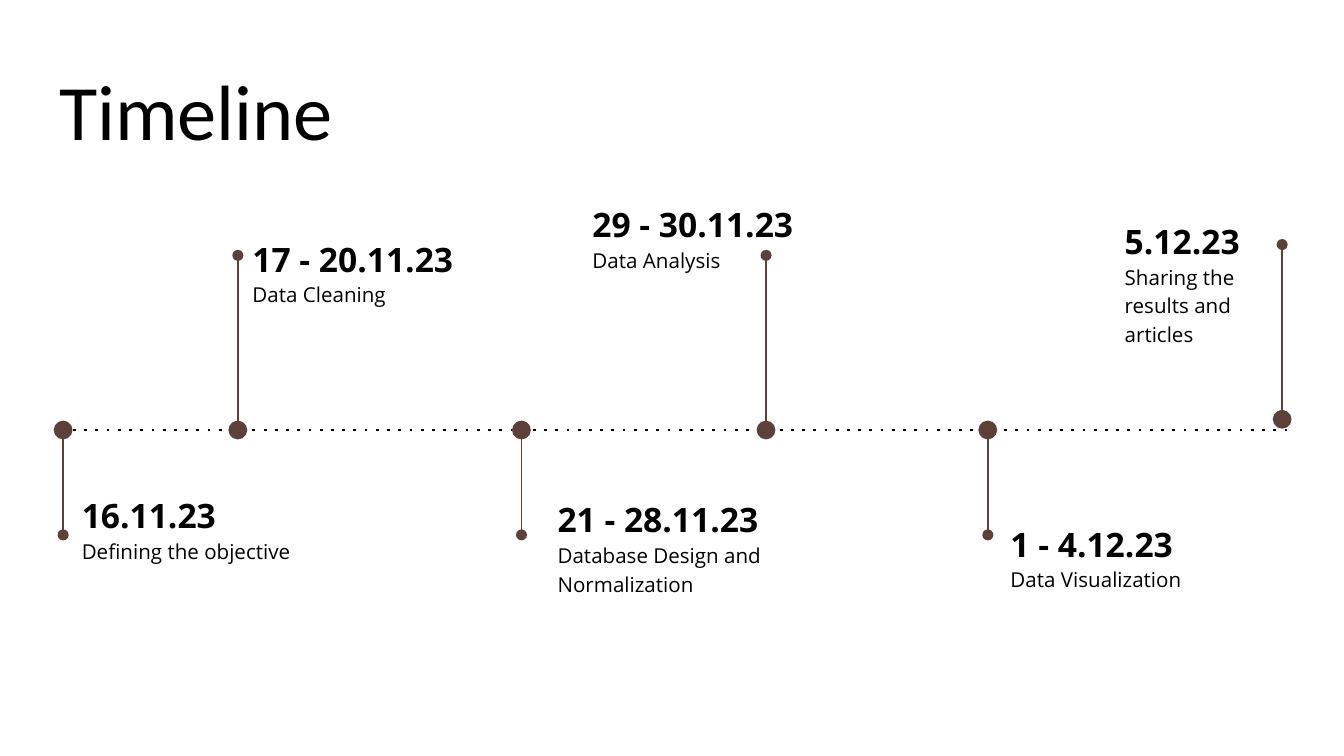
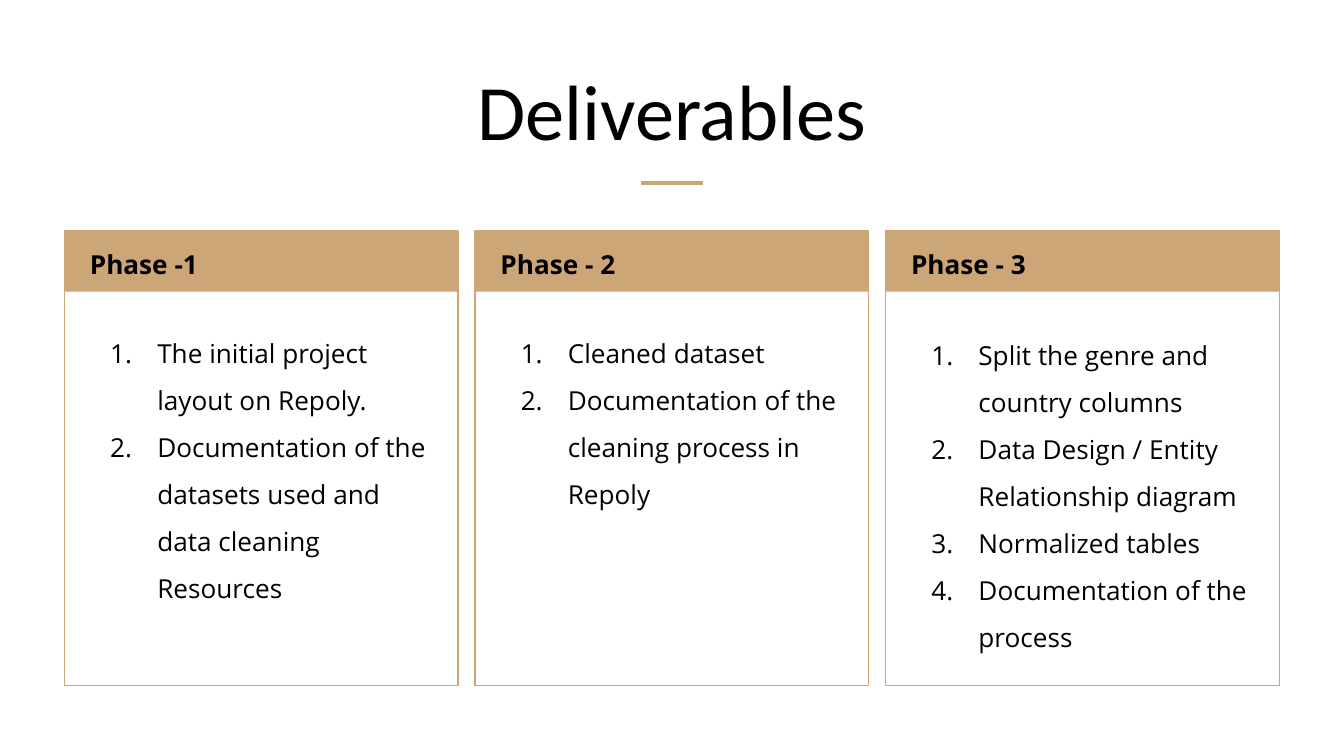
from lxml.etree import SubElement
from pptx import Presentation
from pptx.dml.color import RGBColor
from pptx.enum.shapes import MSO_CONNECTOR, MSO_SHAPE
from pptx.enum.text import MSO_ANCHOR, MSO_AUTO_SIZE, PP_ALIGN
from pptx.oxml.ns import qn
from pptx.util import Inches, Pt

COLORS = {"ink": "000000", "milestone": "5D4037", "accent": "CCA677"}
HEADING_FONT = "Calibri"
BODY_FONT = "Open Sans"

AXIS_Y = 3.2
DOT_RADIUS = 0.07
STEM_UP, STEM_DOWN = -1.3, 0.78

MILESTONES = [
    (0.47, AXIS_Y, STEM_DOWN, (0.51, 3.54, 2.38, 1.32), "16.11.23", "Defining the objective"),
    (1.77, AXIS_Y, STEM_UP, (1.78, 1.63, 2.38, 1.2), "17 - 20.11.23", "Data Cleaning"),
    (3.88, AXIS_Y, STEM_DOWN, (4.05, 3.57, 2.38, 1.32), "21 - 28.11.23",
     "Database Design and Normalization"),
    (5.7, AXIS_Y, STEM_UP, (4.31, 1.37, 2.38, 1.2), "29 - 30.11.23", "Data Analysis"),
    (7.35, AXIS_Y, STEM_DOWN, (7.42, 3.75, 2.38, 1.32), "1 - 4.12.23", "Data Visualization"),
    (9.54, 3.12, STEM_UP, (8.27, 1.5, 1.39, 1.2), "5.12.23",
     "Sharing the results and articles"),
]

CARD_LEFT, CARD_TOP, CARD_WIDTH, CARD_HEIGHT = 0.48, 1.72, 2.93, 3.38
LAST_CARD_LEFT = 6.59
BAND_HEIGHT = 0.45
CARD_PADDING = 0.09

PHASES = [
    ("Phase -1", 2.29, ["The initial project layout on Repoly.",
                        "Documentation of the datasets used and data cleaning Resources"]),
    ("Phase - 2", 2.29, ["Cleaned dataset",
                         "Documentation of the cleaning process in Repoly"]),
    ("Phase - 3", 2.31, ["Split the genre and country columns",
                         "Data Design / Entity Relationship diagram",
                         "Normalized tables",
                         "Documentation of the process"]),
]


def color(name):
    return RGBColor.from_string(COLORS[name])


def place(shape, left, top, width, height):
    shape.left, shape.top = Inches(left), Inches(top)
    shape.width, shape.height = Inches(width), Inches(height)


def prepare_frame(frame, anchor=MSO_ANCHOR.TOP):
    frame.word_wrap = True
    frame.auto_size = MSO_AUTO_SIZE.NONE
    frame.vertical_anchor = anchor
    frame.margin_left = frame.margin_right = Inches(0.1)
    frame.margin_top = frame.margin_bottom = Inches(0.1)


def write(frame, text, size=14, font=BODY_FONT, bold=False, align=PP_ALIGN.LEFT,
          spacing=1.15, numbered=False):
    paragraph = frame.paragraphs[0]
    if paragraph.runs:
        paragraph = frame.add_paragraph()
    paragraph.alignment = align
    paragraph.line_spacing = spacing
    paragraph.space_before = paragraph.space_after = Pt(0)
    run = paragraph.add_run()
    run.text = text
    run.font.name, run.font.size, run.font.bold = font, Pt(size), bold
    run.font.color.rgb = color("ink")
    if numbered:
        number_paragraph(paragraph)


def number_paragraph(paragraph):
    properties = paragraph._p.get_or_add_pPr()
    properties.set("marL", str(Inches(0.5)))
    properties.set("indent", str(Inches(-0.35)))
    bullet_color = SubElement(properties, qn("a:buClr"))
    SubElement(bullet_color, qn("a:srgbClr"), val=COLORS["ink"])
    SubElement(properties, qn("a:buFont"), typeface=BODY_FONT)
    SubElement(properties, qn("a:buAutoNum"), type="arabicPeriod")


def add_title(slide, text, align=PP_ALIGN.LEFT):
    title = slide.shapes.title
    place(title, 0.34, 0.35, 9.32, 0.91)
    prepare_frame(title.text_frame, MSO_ANCHOR.BOTTOM)
    write(title.text_frame, text, size=42, font=HEADING_FONT, align=align, spacing=1.0)


def add_label(slide, box):
    label = slide.shapes.add_textbox(*map(Inches, box))
    prepare_frame(label.text_frame)
    return label.text_frame


def add_shape(slide, preset, box, fill=None, outline=None):
    shape = slide.shapes.add_shape(preset, *map(Inches, box))
    shape.shadow.inherit = False
    if fill:
        shape.fill.solid()
        shape.fill.fore_color.rgb = color(fill)
    else:
        shape.fill.background()
    if outline:
        shape.line.color.rgb = color(outline)
        shape.line.width = Pt(0.75)
    else:
        shape.line.fill.background()


def add_line(slide, start, end, stroke, width, dash=None, tail=None):
    line = slide.shapes.add_connector(
        MSO_CONNECTOR.STRAIGHT, *map(Inches, (*start, *end)))
    line.line.color.rgb = color(stroke)
    line.line.width = Pt(width)
    outline = line.line._get_or_add_ln()
    if dash:
        SubElement(outline, qn("a:prstDash"), val=dash)
    if tail:
        SubElement(outline, qn("a:tailEnd"), type=tail)
    SubElement(line._element.spPr, qn("a:effectLst"))


def add_milestone(slide, x, y, stem, label_box, date, task):
    add_shape(slide, MSO_SHAPE.OVAL,
              (x - DOT_RADIUS, y - DOT_RADIUS, 2 * DOT_RADIUS, 2 * DOT_RADIUS),
              fill="milestone")
    edge = DOT_RADIUS if stem > 0 else -DOT_RADIUS
    add_line(slide, (x, y + edge), (x, y + stem), "milestone", 0.75, tail="oval")
    label = add_label(slide, label_box)
    write(label, date, size=18, bold=True)
    write(label, task, size=11)


def add_phase_card(slide, left, name, list_top, deliverables, list_holder):
    add_shape(slide, MSO_SHAPE.RECTANGLE, (left, CARD_TOP, CARD_WIDTH, CARD_HEIGHT),
              outline="accent")
    add_shape(slide, MSO_SHAPE.RECTANGLE, (left, CARD_TOP, CARD_WIDTH, BAND_HEIGHT),
              fill="accent")
    text_left = left + CARD_PADDING
    heading = add_label(slide, (text_left, 1.71, 2.72, BAND_HEIGHT))
    write(heading, name, bold=True)
    place(list_holder, text_left, list_top, 2.73, 2.8)
    prepare_frame(list_holder.text_frame)
    for deliverable in deliverables:
        write(list_holder.text_frame, deliverable, spacing=1.5, numbered=True)


def build_timeline(deck):
    slide = deck.slides.add_slide(deck.slide_layouts.get_by_name("Title Only"))
    add_title(slide, "Timeline")
    add_line(slide, (0.46, AXIS_Y), (9.58, AXIS_Y), "ink", 1.5, dash="dot")
    for milestone in MILESTONES:
        add_milestone(slide, *milestone)


def build_deliverables(deck):
    slide = deck.slides.add_slide(deck.slide_layouts.get_by_name("Comparison"))
    add_title(slide, "Deliverables", align=PP_ALIGN.CENTER)
    add_line(slide, (4.77, 1.36), (5.23, 1.36), "accent", 2.25)
    holders = [holder for holder in slide.placeholders
               if holder.placeholder_format.idx > 0]
    pitch = (LAST_CARD_LEFT - CARD_LEFT) / (len(PHASES) - 1)
    for index, (phase, holder) in enumerate(zip(PHASES, holders)):
        add_phase_card(slide, CARD_LEFT + index * pitch, *phase, holder)
    for unused in holders[len(PHASES):]:
        unused._element.getparent().remove(unused._element)


def main():
    deck = Presentation()
    deck.slide_width = Inches(10)
    deck.slide_height = Inches(10 * 9 / 16)
    build_timeline(deck)
    build_deliverables(deck)
    deck.save("out.pptx")


main()
